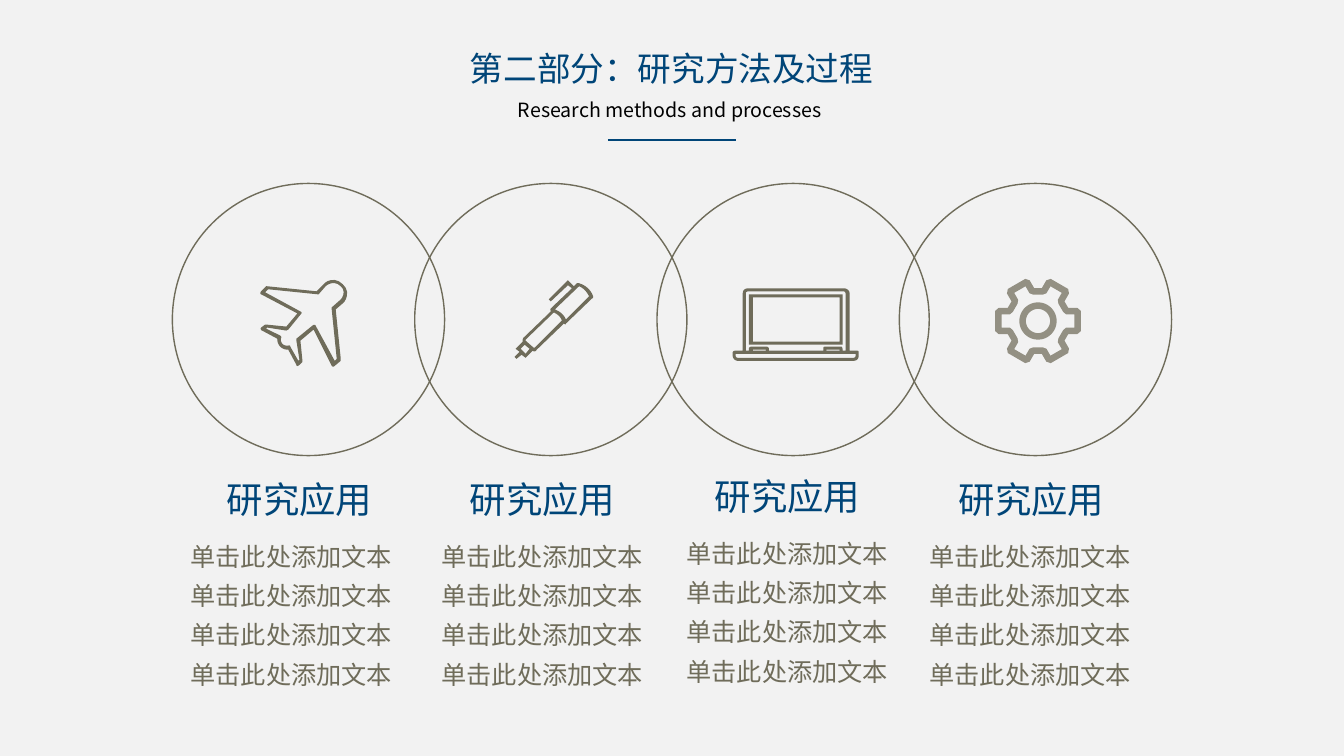
import dataclasses
import math

import lxml.etree
import pptx
import pptx.dml.color
import pptx.enum.shapes
import pptx.enum.text
import pptx.oxml.ns
import pptx.util

Inches = pptx.util.Inches
RGB = pptx.dml.color.RGBColor.from_string
ALIGN = pptx.enum.text.PP_ALIGN


@dataclasses.dataclass(frozen=True)
class Theme:
    font: str = "Noto Sans CJK SC"
    background: str = "F2F2F2"
    blue: str = "004578"
    olive: str = "6F6C5A"
    gear: str = "939083"
    black: str = "000000"
    title: int = 24
    subtitle: int = 14
    label: int = 26
    body: int = 18


THEME = Theme()


def rectangle(left, top, right, bottom):
    return [(left, top), (right, top), (right, bottom), (left, bottom)]


def rotated(points, count, center):
    outline = []
    for turn in range(count):
        cos, sin = math.cos(math.tau * turn / count), math.sin(math.tau * turn / count)
        outline += [(center + x * cos - y * sin, center + x * sin + y * cos) for x, y in points]
    return outline


PLANE = [
    [(82, 8), (74, 0, 65, 5, 63, 8), (56, 15), (7, 10), (6, 10), (1, 15), (0, 16, 0, 18, 1, 18),
     (37, 37), (26, 50), (6, 48), (5, 48), (1, 51), (0, 52, 1, 54, 2, 54), (17, 62),
     (17, 65, 18, 68, 20, 70), (22, 72, 25, 73, 28, 73), (36, 88), (36, 90, 38, 89, 39, 88),
     (42, 85), (42, 84), (40, 64), (53, 53), (71, 89), (72, 90, 73, 90, 74, 89), (80, 84),
     (80, 82), (75, 33), (82, 27), (85, 25, 90, 15, 82, 8)],
    [(79, 24), (71, 31), (71, 33), (76, 82), (74, 84), (55, 49), (55, 48, 53, 48, 52, 49),
     (36, 62), (36, 64), (39, 83), (38, 84), (30, 70), (30, 69, 29, 68, 28, 69),
     (26, 69, 24, 69, 22, 67), (21, 66, 20, 63, 21, 61), (21, 60, 21, 60, 20, 59), (6, 52),
     (7, 51), (26, 54), (28, 53), (41, 37), (41, 37, 42, 36, 40, 35), (5, 16), (8, 13),
     (57, 18), (58, 18), (65, 10), (67, 8, 74, 4, 80, 10), (86, 15, 81, 23, 79, 24)],
]
PEN = [
    [(78, 16), (76, 10, 71, 5, 64, 3), (62, 3), (59, 6), (53, 0), (34, 19), (36, 21), (53, 5),
     (57, 8), (36, 28), (35, 29, 36, 30, 36, 31), (9, 57), (8, 58, 8, 60, 8, 61), (1, 68),
     (5, 71), (0, 76), (2, 78), (7, 74), (11, 77), (18, 70), (19, 71, 21, 71, 22, 69),
     (49, 43), (50, 44, 51, 44, 51, 43), (77, 18), (78, 18, 78, 17, 78, 16)],
    [(11, 73), (6, 68), (10, 64), (15, 68)],
    [(20, 67), (19, 67), (11, 60), (11, 59), (39, 32), (40, 32, 40, 33, 41, 33),
     (44, 35, 46, 37, 47, 40)],
    [(51, 39), (49, 34, 45, 31, 40, 29), (64, 6), (69, 8, 72, 12, 74, 16)],
]
LAPTOP = [
    [(120, 72), (5, 72), (3, 72, 0, 70, 0, 67), (0, 64), (0, 63, 1, 62, 2, 62), (10, 62),
     (10, 5), (10, 2, 12, 0, 16, 0), (110, 0), (113, 0, 116, 2, 116, 5), (116, 62), (124, 62),
     (125, 62, 125, 63, 125, 64), (125, 67), (125, 70, 123, 72, 120, 72)],
    [(3, 65), (3, 67), (3, 68, 4, 69, 5, 69), (120, 69), (121, 69, 122, 68, 122, 67), (122, 65)],
    [(109, 62), (112, 62), (112, 5), (112, 4, 111, 3, 110, 3), (16, 3), (14, 3, 13, 4, 13, 5),
     (13, 62), (16, 62), (16, 60), (16, 59, 17, 58, 18, 58), (34, 58), (35, 58, 36, 59, 36, 60),
     (36, 62), (90, 62), (90, 60), (90, 59, 90, 58, 91, 58), (108, 58), (108, 58, 109, 59, 109, 60)],
    rectangle(93, 61, 106, 62),
    rectangle(20, 61, 33, 62),
    rectangle(16, 6, 109, 56),
    rectangle(20, 9, 106, 53),
]
GEAR = [
    rotated([(30, -13), (39, -13), (42.5, -10), (42.5, 10), (39, 13), (30, 13)], 6, 42.5),
    rotated([(25, -9), (28, -6.5), (36, -6.5), (36, 6.5), (28, 6.5), (25, 9)], 6, 42.5),
    rotated([(18.5, 0)], 48, 42.5),
    rotated([(12, 0)], 48, 42.5),
]


@dataclasses.dataclass(frozen=True)
class Topic:
    icon: list
    icon_color: str
    icon_offset: tuple
    label_left: float
    body_left: float
    text_top: float = 4.68


TOPICS = [
    Topic(PLANE, THEME.olive, (0.87, 0.92), 2.15, 1.79),
    Topic(PEN, THEME.olive, (0.99, 0.96), 4.56, 4.28),
    Topic(LAPTOP, THEME.olive, (0.75, 1.04), 6.99, 6.71, 4.65),
    Topic(GEAR, THEME.gear, (0.95, 0.94), 9.41, 9.12),
]


def place(shape, left, top, width, height):
    shape.left, shape.top = Inches(left), Inches(top)
    shape.width, shape.height = Inches(width), Inches(height)


def write(frame, text, *, size, color, align=ALIGN.LEFT, spacing=1.0):
    frame.word_wrap = True
    frame.auto_size = pptx.enum.text.MSO_AUTO_SIZE.NONE
    frame.vertical_anchor = pptx.enum.text.MSO_ANCHOR.TOP
    paragraph = frame.paragraphs[0]
    paragraph.alignment = align
    paragraph.line_spacing = spacing
    run = paragraph.add_run()
    run.text = text
    run.font.size = pptx.util.Pt(size)
    run.font.name = THEME.font
    run.font.color.rgb = RGB(color)
    east_asian = lxml.etree.SubElement(run.font._element, pptx.oxml.ns.qn("a:ea"))
    east_asian.set("typeface", THEME.font)


def add_text(slide, box, text, **style):
    write(slide.shapes.add_textbox(*map(Inches, box)).text_frame, text, **style)


def flatten(contour, steps=6):
    points = [contour[0]]
    for segment in contour[1:]:
        if len(segment) == 2:
            points.append(segment)
            continue
        x0, y0 = points[-1]
        x1, y1, x2, y2, x3, y3 = segment
        for step in range(1, steps + 1):
            t = step / steps
            a, b, c, d = (1 - t) ** 3, 3 * t * (1 - t) ** 2, 3 * t * t * (1 - t), t ** 3
            points.append((a * x0 + b * x1 + c * x2 + d * x3, a * y0 + b * y1 + c * y2 + d * y3))
    return [(Inches(x / 100), Inches(y / 100)) for x, y in points]


def add_icon(slide, left, top, contours, color):
    outlines = [flatten(contour) for contour in contours]
    builder = slide.shapes.build_freeform(*outlines[0][0])
    for index, outline in enumerate(outlines):
        if index:
            builder.move_to(*outline[0])
        builder.add_line_segments(outline[1:], close=True)
    icon = builder.convert_to_shape(Inches(left), Inches(top))
    icon.shadow.inherit = False
    icon.fill.solid()
    icon.fill.fore_color.rgb = RGB(color)
    icon.line.fill.background()


def add_heading(slide, left, top, width):
    title = slide.shapes.title
    place(title, left + 0.75, top, width - 1.51, 0.91)
    write(title.text_frame, "第二部分：研究方法及过程",
          size=THEME.title, color=THEME.blue, align=ALIGN.CENTER)
    add_text(slide, (left, top + 0.49, width, 0.34), "Research methods and processes ",
             size=THEME.subtitle, color=THEME.black, align=ALIGN.CENTER)
    rule_y = Inches(top + 0.96)
    rule = slide.shapes.add_connector(pptx.enum.shapes.MSO_CONNECTOR.STRAIGHT,
                                      Inches(left + 2.83), rule_y, Inches(left + 4.1), rule_y)
    rule.line.color.rgb = RGB(THEME.blue)
    rule.line.width = pptx.util.Pt(1.5)
    lxml.etree.SubElement(rule._element.spPr, pptx.oxml.ns.qn("a:effectLst"))


def add_circle_chain(slide, left, top, width, diameter):
    step = (width - diameter) / (len(TOPICS) - 1)
    for index, topic in enumerate(TOPICS):
        circle_left = left + index * step
        circle = slide.shapes.add_shape(pptx.enum.shapes.MSO_SHAPE.OVAL,
                                        *map(Inches, (circle_left, top, diameter, diameter)))
        circle.shadow.inherit = False
        circle.fill.background()
        circle.line.color.rgb = RGB(THEME.olive)
        circle.line.width = pptx.util.Pt(1)
        dx, dy = topic.icon_offset
        add_icon(slide, circle_left + dx, top + dy, topic.icon, topic.icon_color)


def add_topic_text(slide, topic):
    add_text(slide, (topic.label_left, topic.text_top, 1.74, 0.54), "研究应用",
             size=THEME.label, color=THEME.blue)
    add_text(slide, (topic.body_left, topic.text_top + 0.55, 2.38, 2.03), "单击此处添加文本" * 4,
             size=THEME.body, color=THEME.olive, spacing=1.3)


def main():
    deck = pptx.Presentation()
    deck.slide_width, deck.slide_height = Inches(13.33), Inches(7.5)
    slide = deck.slides.add_slide(deck.slide_layouts.get_by_name("Title Only"))
    slide.background.fill.solid()
    slide.background.fill.fore_color.rgb = RGB(THEME.background)
    add_heading(slide, 3.2, 0.43, 6.93)
    add_circle_chain(slide, 1.71, 1.82, 9.91, 2.7)
    for topic in TOPICS:
        add_topic_text(slide, topic)
    deck.save("out.pptx")


if __name__ == "__main__":
    main()
